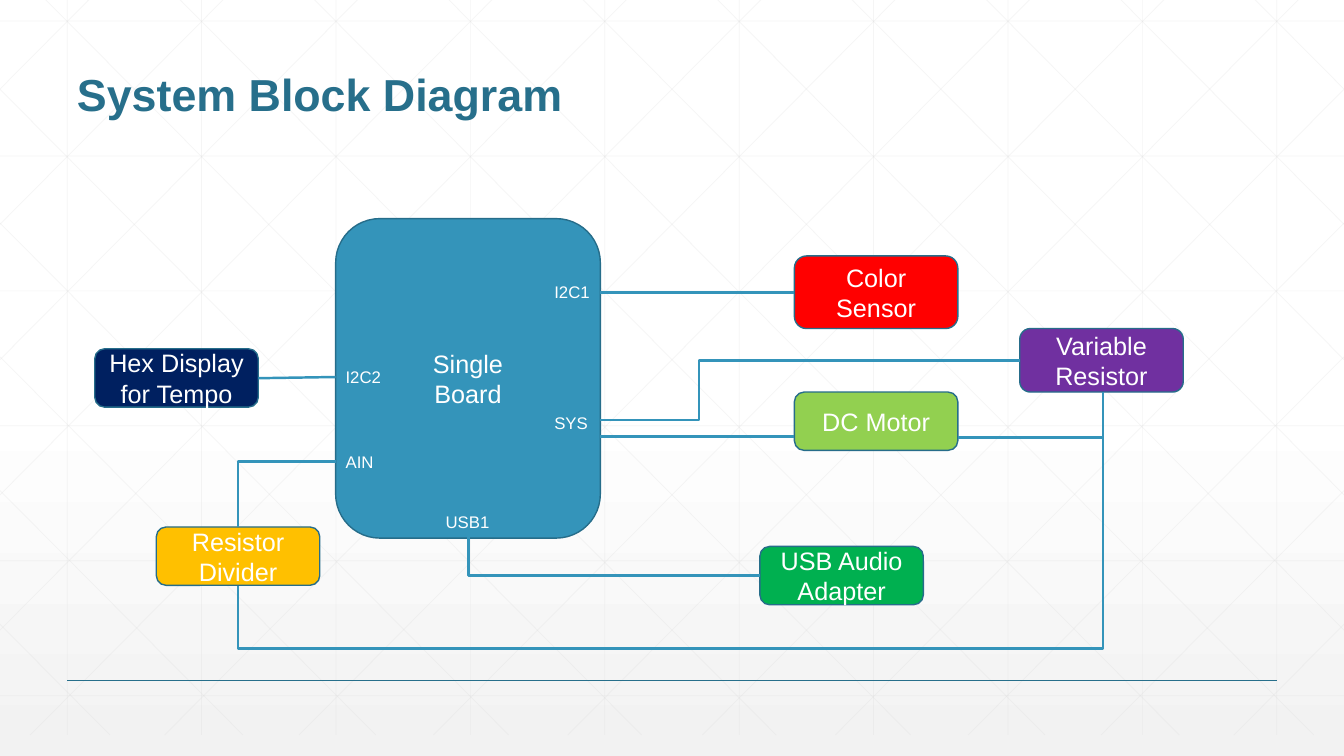
from lxml import etree
from pptx import Presentation
from pptx.dml.color import RGBColor
from pptx.enum.shapes import MSO_CONNECTOR, MSO_SHAPE
from pptx.enum.text import MSO_ANCHOR, PP_ALIGN
from pptx.oxml.ns import qn
from pptx.util import Cm, Pt

STRAIGHT, ELBOW = MSO_CONNECTOR.STRAIGHT, MSO_CONNECTOR.ELBOW
ROUNDED = MSO_SHAPE.ROUNDED_RECTANGLE
MIDDLE, BOTTOM = MSO_ANCHOR.MIDDLE, MSO_ANCHOR.BOTTOM
CENTER, LEFT = PP_ALIGN.CENTER, PP_ALIGN.LEFT

WHITE = RGBColor(0xFF, 0xFF, 0xFF)
PALE = RGBColor(0xF2, 0xF2, 0xF2)
GRID = RGBColor(0xD9, 0xD9, 0xD9)
TEAL = RGBColor(0x27, 0x6F, 0x8B)
OUTLINE = RGBColor(0x26, 0x6D, 0x8A)
BLUE = RGBColor(0x34, 0x94, 0xBA)
RED = RGBColor(0xFF, 0x00, 0x00)
LIME = RGBColor(0x92, 0xD0, 0x50)
PURPLE = RGBColor(0x70, 0x30, 0xA0)
GREEN = RGBColor(0x00, 0xB0, 0x50)
NAVY = RGBColor(0x00, 0x20, 0x60)
AMBER = RGBColor(0xFF, 0xC0, 0x00)

WIDTH, HEIGHT = 33.87, 19.05
GRID_TOP, GRID_BOTTOM = -0.53, 18.52
GRID_STEP = WIDTH / 10
DIAGONAL_RUN = 18.93
SLOPE = (GRID_BOTTOM - GRID_TOP) / DIAGONAL_RUN

TITLE = "System Block Diagram"
BLOCKS = [
    ("Single\nBoard", 8.46, 5.51, 6.67, 8.05, BLUE),
    ("Color Sensor", 20.02, 6.45, 4.12, 1.83, RED),
    ("DC Motor", 20.02, 9.88, 4.12, 1.47, LIME),
    ("Variable Resistor", 25.7, 8.28, 4.12, 1.6, PURPLE),
    ("USB Audio Adapter", 19.15, 13.77, 4.12, 1.47, GREEN),
    ("Hex Display for Tempo", 2.39, 8.79, 4.12, 1.47, NAVY),
    ("Resistor Divider", 3.94, 13.28, 4.12, 1.47, AMBER),
]
PORTS = [
    ("I2C1", 13.72, 6.98, 1.42),
    ("SYS", 13.72, 10.27, 1.37),
    ("USB1", 10.98, 12.77, 1.63),
    ("I2C2", 8.46, 9.12, 1.42),
    ("AIN", 8.46, 11.25, 1.22),
]
STRAIGHT_WIRES = [
    ((20.02, 7.37), (15.13, 7.37)),
    ((20.02, 11), (15.13, 11)),
    ((8.46, 9.5), (6.51, 9.53)),
    ((27.79, 11.02), (24.13, 11.02)),
]
CORNER_WIRES = [
    ((19.15, 14.5), (11.81, 13.54)),
    ((8.46, 11.63), (6, 13.28)),
]
STEP_WIRE = ((25.7, 9.09), (15.13, 10.59), 76500)
LOOP_WIRE = ((27.79, 9.88), (6, 14.76), 132400)


def draw_line(slide, start, end, color, weight, kind=STRAIGHT):
    line = slide.shapes.add_connector(kind, *map(Cm, (*start, *end)))
    line.line.color.rgb = color
    line.line.width = Pt(weight)
    etree.SubElement(line._element.spPr, qn("a:effectLst"))
    return line


def draw_step(slide, start, end, bend):
    wire = draw_line(slide, start, end, BLUE, 1.75, ELBOW)
    guides = wire._element.spPr.find(qn("a:prstGeom")).get_or_add_avLst()
    etree.SubElement(guides, qn("a:gd"), name="adj1", fmla=f"val {bend}")
    return wire


def draw_loop(slide, start, end, bend):
    mid_x, mid_y = (start[0] + end[0]) / 2, (start[1] + end[1]) / 2
    half_x, half_y = (end[1] - start[1]) / 2, (start[0] - end[0]) / 2
    wire = draw_step(slide, (mid_x - half_x, mid_y - half_y),
                     (mid_x + half_x, mid_y + half_y), bend)
    wire._element.spPr.find(qn("a:xfrm")).set("rot", "5400000")


def draw_corner(slide, start, end):
    wire = draw_line(slide, start, end, BLUE, 1.75, ELBOW)
    wire._element.spPr.find(qn("a:prstGeom")).set("prst", "bentConnector2")


def write(shape, text, size, color, align, anchor, wrap=True, bold=False):
    frame = shape.text_frame
    frame.text = text
    frame.word_wrap = wrap
    frame.vertical_anchor = anchor
    for paragraph in frame.paragraphs:
        paragraph.alignment = align
        for run in paragraph.runs:
            run.font.name = "Arial"
            run.font.size = Pt(size)
            run.font.bold = bold
            run.font.color.rgb = color


def grid_lines():
    lines = [((x, GRID_TOP), (x, GRID_BOTTOM))
             for x in (GRID_STEP * (i + 0.5) for i in range(10))]
    lines += [((0, y), (WIDTH, y)) for y in (0.53 + 3.4 * i for i in range(6))]
    falling = []
    for i in range(10):
        x = 0.63 + GRID_STEP * i
        run = min(DIAGONAL_RUN, WIDTH - x)
        falling.append(((x, GRID_TOP), (x + run, GRID_TOP + run * SLOPE)))
    for i in range(5):
        y = 2.25 + 3.37 * i
        falling.append(((0, y), ((GRID_BOTTOM - y) / SLOPE, GRID_BOTTOM)))
    rising = [tuple((WIDTH - x, y) for x, y in ends) for ends in falling]
    return lines + falling + rising


def draw_backdrop(slide):
    fill = slide.background.fill
    fill.gradient()
    fill.gradient_angle = 270
    for stop, position, color in zip(fill.gradient_stops, (0.53, 1), (WHITE, PALE)):
        stop.position = position
        stop.color.rgb = color
    for start, end in grid_lines():
        line = draw_line(slide, start, end, GRID, 0.5)
        tint = next(line._element.spPr.iter(qn("a:srgbClr")))
        etree.SubElement(tint, qn("a:alpha"), val="25000")
    draw_line(slide, (1.69, 17.14), (32.18, 17.14), TEAL, 1)


def main():
    deck = Presentation()
    deck.slide_width, deck.slide_height = Cm(WIDTH), Cm(HEIGHT)
    slide = deck.slides.add_slide(deck.slide_layouts[6])
    draw_backdrop(slide)

    heading = slide.shapes.add_textbox(Cm(1.69), Cm(0.64), Cm(30.48), Cm(2.54))
    write(heading, TITLE, 32, TEAL, LEFT, BOTTOM, bold=True)
    heading.text_frame.paragraphs[0].line_spacing = 0.9

    for name, left, top, width, height, color in BLOCKS:
        block = slide.shapes.add_shape(ROUNDED, *map(Cm, (left, top, width, height)))
        block.shadow.inherit = False
        block.fill.solid()
        block.fill.fore_color.rgb = color
        block.line.color.rgb = OUTLINE
        block.line.width = Pt(1)
        write(block, name, 18, WHITE, CENTER, MIDDLE)

    for start, end in STRAIGHT_WIRES:
        draw_line(slide, start, end, BLUE, 1.75)
    for start, end in CORNER_WIRES:
        draw_corner(slide, start, end)
    draw_step(slide, *STEP_WIRE)
    draw_loop(slide, *LOOP_WIRE)

    for name, left, top, width in PORTS:
        port = slide.shapes.add_textbox(Cm(left), Cm(top), Cm(width), Cm(0.77))
        write(port, name, 12, WHITE, LEFT, MIDDLE, wrap=False)

    deck.save("out.pptx")


if __name__ == "__main__":
    main()
